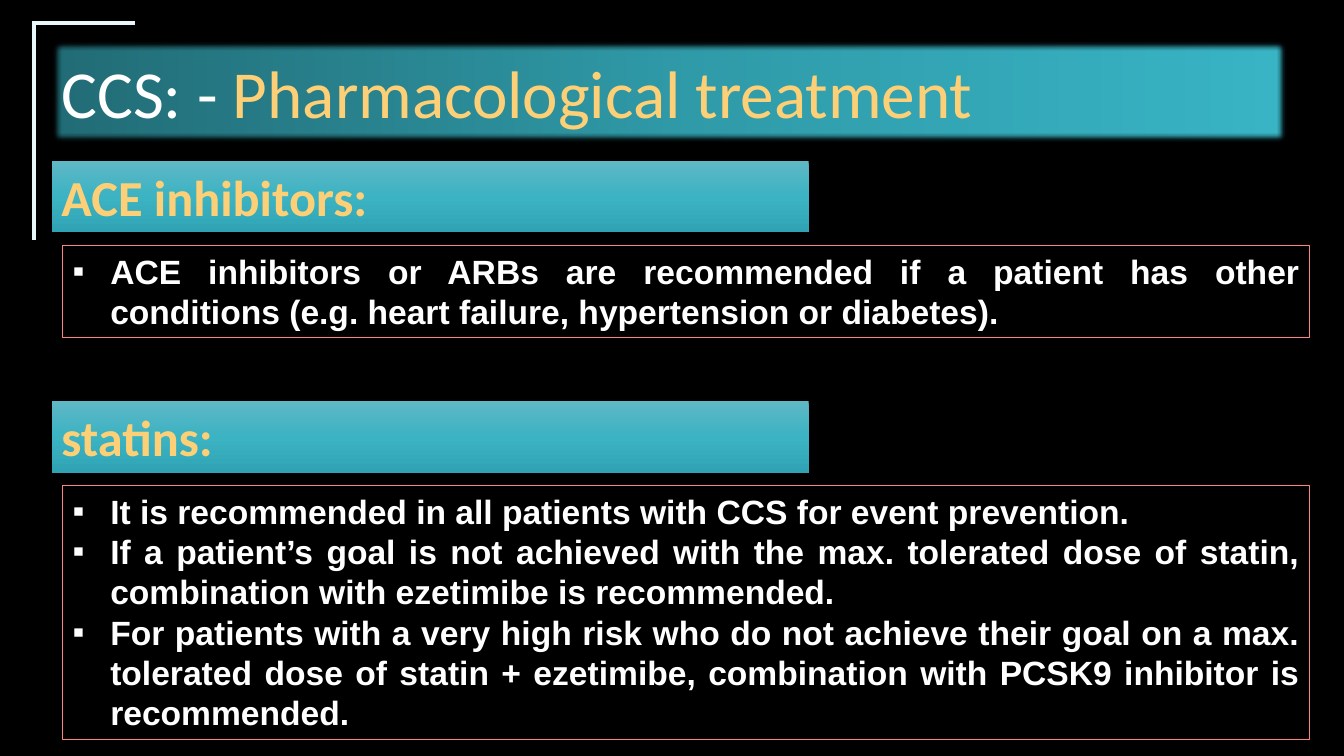
from dataclasses import dataclass

from lxml import etree
from pptx import Presentation
from pptx.dml.color import RGBColor
from pptx.enum.shapes import MSO_CONNECTOR, MSO_SHAPE
from pptx.enum.text import MSO_ANCHOR, MSO_AUTO_SIZE, PP_ALIGN
from pptx.oxml.ns import qn
from pptx.util import Cm, Pt

RECTANGLE = MSO_SHAPE.RECTANGLE
STRAIGHT = MSO_CONNECTOR.STRAIGHT
TOP, MIDDLE = MSO_ANCHOR.TOP, MSO_ANCHOR.MIDDLE
FIT_SHAPE = MSO_AUTO_SIZE.SHAPE_TO_FIT_TEXT
LEFT, JUSTIFY = PP_ALIGN.LEFT, PP_ALIGN.JUSTIFY


@dataclass(frozen=True)
class Theme:
    background: str = "000000"
    text: str = "FFFFFF"
    accent: str = "FDD077"
    corner: str = "EAF7FA"
    border: str = "FF8181"
    title_line: str = "30818C"
    title_stops: tuple = ("216B75", "2F99A7", "38B5C6")
    heading_stops: tuple = ("5FB7C5", "3BB3C3", "2FA3B3")
    heading_font: str = "Calibri"
    body_font: str = "Arial"
    title_size: int = 48
    heading_size: int = 36
    body_size: int = 24


THEME = Theme()

SECTIONS = [
    (4.06, 2.31, "ACE inhibitors:", [
        "ACE inhibitors or ARBs are recommended if a patient has other conditions "
        "(e.g. heart failure, hypertension or diabetes).",
    ]),
    (10.11, 6.4, "statins:", [
        "It is recommended in all patients with CCS for event prevention.",
        "If a patient’s goal is not achieved with the max. tolerated dose of statin, "
        "combination with ezetimibe is recommended.",
        "For patients with a very high risk who do not achieve their goal on a max. "
        "tolerated dose of statin + ezetimibe, combination with PCSK9 inhibitor is "
        "recommended.",
    ]),
]


def add_panel(slide, left, top, width, height, line_color=None, line_width=1):
    shape = slide.shapes.add_shape(RECTANGLE, Cm(left), Cm(top), Cm(width), Cm(height))
    shape.shadow.inherit = False
    shape.fill.background()
    if line_color:
        shape.line.color.rgb = RGBColor.from_string(line_color)
        shape.line.width = Pt(line_width)
    else:
        shape.line.fill.background()
    shape.text_frame.word_wrap = True
    shape.text_frame.vertical_anchor = TOP
    return shape


def fill_gradient(shape, colors, angle):
    shape.fill.gradient()
    shape.fill.gradient_angle = angle
    stops = shape.element.spPr.find(".//" + qn("a:gsLst"))
    for stop in list(stops):
        stops.remove(stop)
    for index, color in enumerate(colors):
        position = index * 100000 // (len(colors) - 1)
        stop = etree.SubElement(stops, qn("a:gs"), pos=str(position))
        etree.SubElement(stop, qn("a:srgbClr"), val=color)


def soften_edges(shape, radius):
    effects = shape.element.spPr.find(qn("a:effectLst"))
    etree.SubElement(effects, qn("a:softEdge"), rad=str(int(Pt(radius))))


def add_bullet(paragraph, indent):
    properties = paragraph._p.get_or_add_pPr()
    properties.set("marL", str(int(Cm(indent))))
    properties.set("indent", str(-int(Cm(indent))))
    etree.SubElement(properties, qn("a:buFont"), typeface=THEME.body_font)
    etree.SubElement(properties, qn("a:buChar"), char="▪")


def format_run(run, font_name, size, color, bold=False):
    run.font.name = font_name
    run.font.size = Pt(size)
    run.font.bold = bold
    run.font.color.rgb = RGBColor.from_string(color)


def add_corner(slide, left, top, width, height):
    arms = [
        (left, top, left + width, top),
        (left + 0.05, top, left + 0.05, top + height),
    ]
    for ends in arms:
        connector = slide.shapes.add_connector(STRAIGHT, *map(Cm, ends))
        connector.line.color.rgb = RGBColor.from_string(THEME.corner)
        connector.line.width = Pt(3)
        etree.SubElement(connector.element.spPr, qn("a:effectLst"))


def add_title(slide, left, top, width, height):
    shape = add_panel(slide, left, top, width, height, THEME.title_line)
    fill_gradient(shape, THEME.title_stops, 0)
    soften_edges(shape, 5)
    shape.text_frame.vertical_anchor = MIDDLE
    paragraph = shape.text_frame.paragraphs[0]
    paragraph.alignment = LEFT
    parts = [("CCS: - ", THEME.text), ("Pharmacological treatment", THEME.accent)]
    for text, color in parts:
        run = paragraph.add_run()
        run.text = text
        format_run(run, THEME.heading_font, THEME.title_size, color)


def add_heading(slide, left, top, width, height, text):
    shape = add_panel(slide, left, top, width, height)
    fill_gradient(shape, THEME.heading_stops, 270)
    shape.text_frame.auto_size = FIT_SHAPE
    paragraph = shape.text_frame.paragraphs[0]
    paragraph.text = text
    paragraph.alignment = LEFT
    format_run(paragraph.runs[0], THEME.heading_font, THEME.heading_size, THEME.accent, True)


def add_bullets(slide, left, top, width, height, items):
    shape = add_panel(slide, left, top, width, height, THEME.border, 0.75)
    shape.text_frame.auto_size = FIT_SHAPE
    shape.text_frame.text = "\n".join(items)
    for paragraph in shape.text_frame.paragraphs:
        paragraph.alignment = JUSTIFY
        add_bullet(paragraph, 0.95)
        format_run(paragraph.runs[0], THEME.body_font, THEME.body_size, THEME.text, True)


def add_section(slide, left, top, body_height, heading, items):
    add_heading(slide, left, top, 19.08, 1.8, heading)
    add_bullets(slide, left + 0.28, top + 2.13, 31.42, body_height, items)


def add_treatment_slide(presentation):
    slide = presentation.slides.add_slide(presentation.slide_layouts[6])
    slide.background.fill.solid()
    slide.background.fill.fore_color.rgb = RGBColor.from_string(THEME.background)
    add_corner(slide, 0.81, 0.58, 2.59, 5.46)
    add_title(slide, 1.3, 1.02, 31.14, 2.59)
    for top, body_height, heading, items in SECTIONS:
        add_section(slide, 1.3, top, body_height, heading, items)


def main():
    presentation = Presentation()
    presentation.slide_width = Cm(33.87)
    presentation.slide_height = Cm(19.05)
    add_treatment_slide(presentation)
    presentation.save("out.pptx")


if __name__ == "__main__":
    main()
